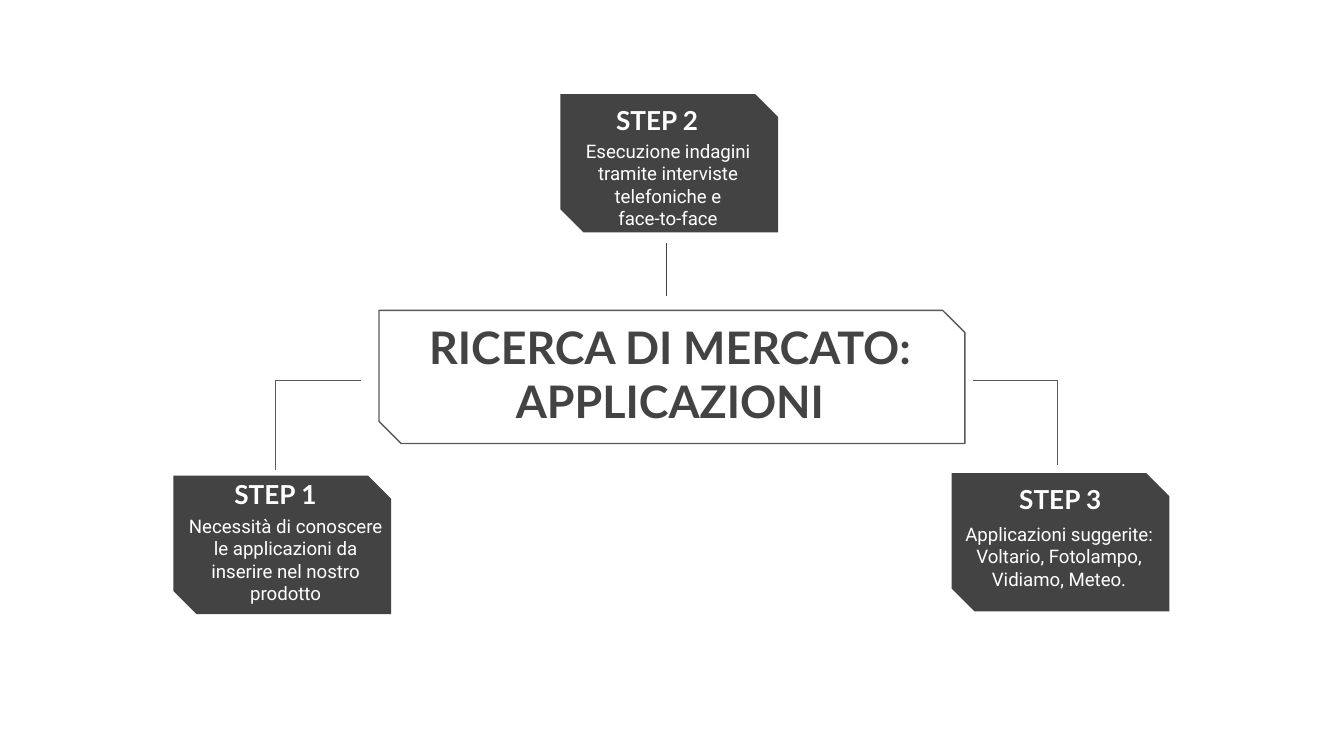
from dataclasses import dataclass

from lxml import etree
from pptx import Presentation
from pptx.dml.color import RGBColor
from pptx.enum.shapes import MSO_CONNECTOR, MSO_SHAPE
from pptx.enum.text import MSO_ANCHOR, MSO_AUTO_SIZE, PP_ALIGN
from pptx.oxml.ns import qn
from pptx.util import Inches, Pt

SNIPPED = MSO_SHAPE.SNIP_2_DIAG_RECTANGLE
STRAIGHT, ELBOW = MSO_CONNECTOR.STRAIGHT, MSO_CONNECTOR.ELBOW
TOP, BOTTOM = MSO_ANCHOR.TOP, MSO_ANCHOR.BOTTOM
CENTER = PP_ALIGN.CENTER
NO_AUTOFIT = MSO_AUTO_SIZE.NONE
TITLE_ONLY = 5


@dataclass(frozen=True)
class Theme:
    """Colours, fonts and sizes of the slide."""
    dark: RGBColor = RGBColor(0x43, 0x43, 0x43)
    outline: RGBColor = RGBColor(0x59, 0x59, 0x59)
    light: RGBColor = RGBColor(0xFF, 0xFF, 0xFF)
    heading_font: str = "Lato"
    body_font: str = "Roboto"
    title_size: int = 24
    heading_size: int = 14
    body_size: int = 10
    line_width: float = 0.75


@dataclass(frozen=True)
class Step:
    """A step card: its corner, its text and the offsets of that text."""
    left: float
    top: float
    heading: str
    body: str
    heading_offset: tuple
    body_offset: tuple
    body_width: float = 1.6


THEME = Theme()
CARD_WIDTH, CARD_HEIGHT = 1.62, 1.03
STEPS = [
    Step(1.29, 3.54, "STEP 1",
         "Necessità di conoscere le applicazioni da inserire nel nostro\nprodotto",
         (-0.02, -0.08), (-0.03, 0.19), 1.73),
    Step(4.17, 0.7, "STEP 2",
         "Esecuzione indagini tramite interviste telefoniche e\nface-to-face",
         (-0.06, -0.02), (0, 0.24)),
    Step(7.08, 3.52, "STEP 3",
         "Applicazioni suggerite:\nVoltario, Fotolampo, Vidiamo, Meteo.",
         (0.03, -0.02), (0, 0.27)),
]
LINKS = [
    (STRAIGHT, (4.96, 1.81), (4.96, 2.2), THEME.dark),
    (ELBOW, (2.69, 2.83), (2.05, 3.5), THEME.outline),
    (ELBOW, (7.24, 2.83), (7.87, 3.46), THEME.outline),
]


def write(shape, text, font, size, color, bold=False, anchor=TOP, pad=0.1):
    """Fill a shape with centred, formatted text."""
    frame = shape.text_frame
    frame.text = text
    frame.word_wrap = True
    frame.auto_size = NO_AUTOFIT
    frame.vertical_anchor = anchor
    frame.margin_left = frame.margin_right = Inches(0.1)
    frame.margin_top = frame.margin_bottom = Inches(pad)
    for paragraph in frame.paragraphs:
        paragraph.alignment = CENTER
        for run in paragraph.runs:
            run.font.name = font
            run.font.size = Pt(size)
            run.font.bold = bold
            run.font.color.rgb = color


def add_snipped(slide, left, top, width, height):
    """Add a shadowless rectangle with two snipped corners."""
    box = slide.shapes.add_shape(
        SNIPPED, Inches(left), Inches(top), Inches(width), Inches(height))
    box.shadow.inherit = False
    return box


def add_step(slide, step):
    """Add a dark card with its heading and description."""
    card = add_snipped(slide, step.left, step.top, CARD_WIDTH, CARD_HEIGHT)
    card.fill.solid()
    card.fill.fore_color.rgb = THEME.dark
    card.line.fill.background()
    dx, dy = step.heading_offset
    heading = slide.shapes.add_textbox(
        Inches(step.left + dx), Inches(step.top + dy), Inches(1.56), Inches(0.43))
    write(heading, step.heading, THEME.heading_font, THEME.heading_size,
          THEME.light, bold=True, anchor=BOTTOM)
    dx, dy = step.body_offset
    body = slide.shapes.add_textbox(
        Inches(step.left + dx), Inches(step.top + dy),
        Inches(step.body_width), Inches(0.68))
    write(body, step.body, THEME.body_font, THEME.body_size, THEME.light)


def add_topic(slide, left, top, width, height):
    """Add the outlined central frame and place the title in it."""
    frame = add_snipped(slide, left, top, width, height)
    frame.fill.background()
    frame.line.color.rgb = THEME.outline
    frame.line.width = Pt(THEME.line_width)
    title = slide.shapes.title
    title.left, title.top = Inches(left - 0.09), Inches(top + 0.06)
    title.width, title.height = Inches(width + 0.15), Inches(height - 0.18)
    write(title, "RICERCA DI MERCATO: APPLICAZIONI", THEME.heading_font,
          THEME.title_size, THEME.dark, bold=True, anchor=BOTTOM, pad=0)


def add_link(slide, kind, start, end, color):
    """Add a thin connector, turning at its far end when it is an elbow."""
    link = slide.shapes.add_connector(
        kind, *(Inches(value) for value in start + end))
    link.line.color.rgb = color
    link.line.width = Pt(THEME.line_width)
    properties = link._element.spPr
    etree.SubElement(properties, qn("a:effectLst"))
    if kind == ELBOW:
        guides = properties.find(qn("a:prstGeom")).find(qn("a:avLst"))
        etree.SubElement(guides, qn("a:gd"), name="adj1", fmla="val 100000")


def main():
    """Build the market research slide."""
    deck = Presentation()
    deck.slide_width = Inches(10)
    deck.slide_height = deck.slide_width * 9 // 16
    slide = deck.slides.add_slide(deck.slide_layouts[TITLE_ONLY])
    add_topic(slide, 2.82, 2.31, 4.36, 0.99)
    for step in STEPS:
        add_step(slide, step)
    for link in LINKS:
        add_link(slide, *link)
    deck.save("out.pptx")


if __name__ == "__main__":
    main()
